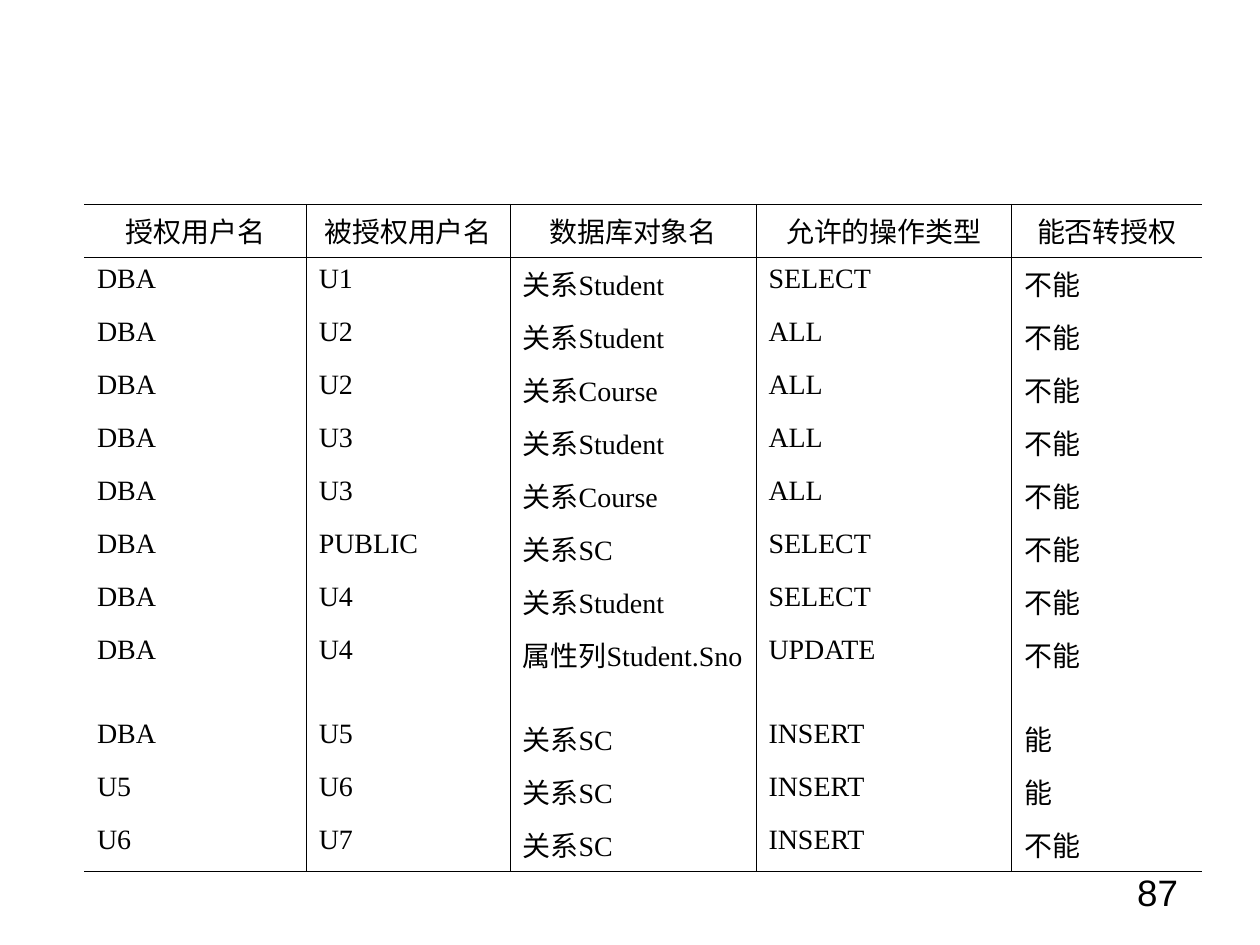
import pptx
import pptx.dml.color
import pptx.enum.text
import pptx.oxml
import pptx.oxml.ns
import pptx.util

inch = pptx.util.Inches
align = pptx.enum.text.PP_ALIGN

# Theme
theme = {
    "ink": "000000",
    "line": 0.45,
    "cell": {"face": "Times New Roman", "size": 16},
    "page": {"face": "Arial", "size": 21},
}


def write(frame, text, face, size, side=align.LEFT, pad=(0.1, 0.05), hang=0):
    """Fill a text frame with one formatted paragraph."""
    frame.word_wrap = True
    frame.margin_left = frame.margin_right = inch(pad[0])
    frame.margin_top = frame.margin_bottom = inch(pad[1])
    para = frame.paragraphs[0]
    para.alignment = side
    if hang:
        props = para._p.get_or_add_pPr()
        props.set("marL", str(inch(hang)))
        props.set("indent", str(-inch(hang)))
    run = para.add_run()
    run.text = text
    run.font.name = face
    run.font.size = pptx.util.Pt(size)
    run.font.color.rgb = pptx.dml.color.RGBColor.from_string(theme["ink"])


def edge(cell, sides):
    """Draw the named sides of a cell and clear the others."""
    props = cell._tc.get_or_add_tcPr()
    for side in "LRTB":
        fill = "<a:noFill/>"
        if side in sides:
            fill = f'<a:solidFill><a:srgbClr val="{theme["ink"]}"/></a:solidFill>'
        props.append(pptx.oxml.parse_xml(
            f'<a:ln{side} {pptx.oxml.ns.nsdecls("a")} '
            f'w="{pptx.util.Pt(theme["line"])}">{fill}</a:ln{side}>'))


# Slide
deck = pptx.Presentation()
deck.slide_width, deck.slide_height = inch(10), inch(7.5)
wide, high = deck.slide_width, deck.slide_height
slide = deck.slides.add_slide(deck.slide_layouts[6])

# Table content
rows = [
    ("授权用户名", "被授权用户名", "数据库对象名", "允许的操作类型", "能否转授权"),
    ("DBA", "U1", "关系Student", "SELECT", "不能"),
    ("DBA", "U2", "关系Student", "ALL", "不能"),
    ("DBA", "U2", "关系Course", "ALL", "不能"),
    ("DBA", "U3", "关系Student", "ALL", "不能"),
    ("DBA", "U3", "关系Course", "ALL", "不能"),
    ("DBA", "PUBLIC", "关系SC", "SELECT", "不能"),
    ("DBA", "U4", "关系Student", "SELECT", "不能"),
    ("DBA", "U4", "属性列Student.Sno", "UPDATE", "不能"),
    ("DBA", "U5", "关系SC", "INSERT", "能"),
    ("U5", "U6", "关系SC", "INSERT", "能"),
    ("U6", "U7", "关系SC", "INSERT", "不能"),
]
cols = [1.76, 1.62, 1.95, 2.03, 1.51]
tall = 8  # this row holds two lines
steps = [0.63 if r == tall else 0.37 for r in range(len(rows))]

# Table grid
grid = slide.shapes.add_table(
    len(rows), len(cols), inch(0.67), inch(1.62),
    inch(sum(cols)), inch(sum(steps))).table
grid.first_row = grid.horz_banding = False
for c, size in enumerate(cols):
    grid.columns[c].width = inch(size)
for r, size in enumerate(steps):
    grid.rows[r].height = inch(size)

# Cells: rules between columns, around the header and below the last row
last = len(rows) - 1
for r, row in enumerate(rows):
    for c, text in enumerate(row):
        cell = grid.cell(r, c)
        write(cell.text_frame, text, hang=0.38,
              side=align.LEFT if r else align.CENTER, **theme["cell"])
        sides = "L" if c > 0 else ""
        sides += "R" if c < len(cols) - 1 else ""
        sides += "T" if r < 2 else ""
        sides += "B" if r in (0, last) else ""
        edge(cell, sides)
        cell.fill.background()

# Page number
page = slide.shapes.add_textbox(
    int(wide * 0.717), int(high * 0.91), int(wide * 0.233), int(high * 0.07))
write(page.text_frame, "87", side=align.RIGHT, pad=(0.15, 0.08), **theme["page"])

deck.save("out.pptx")
